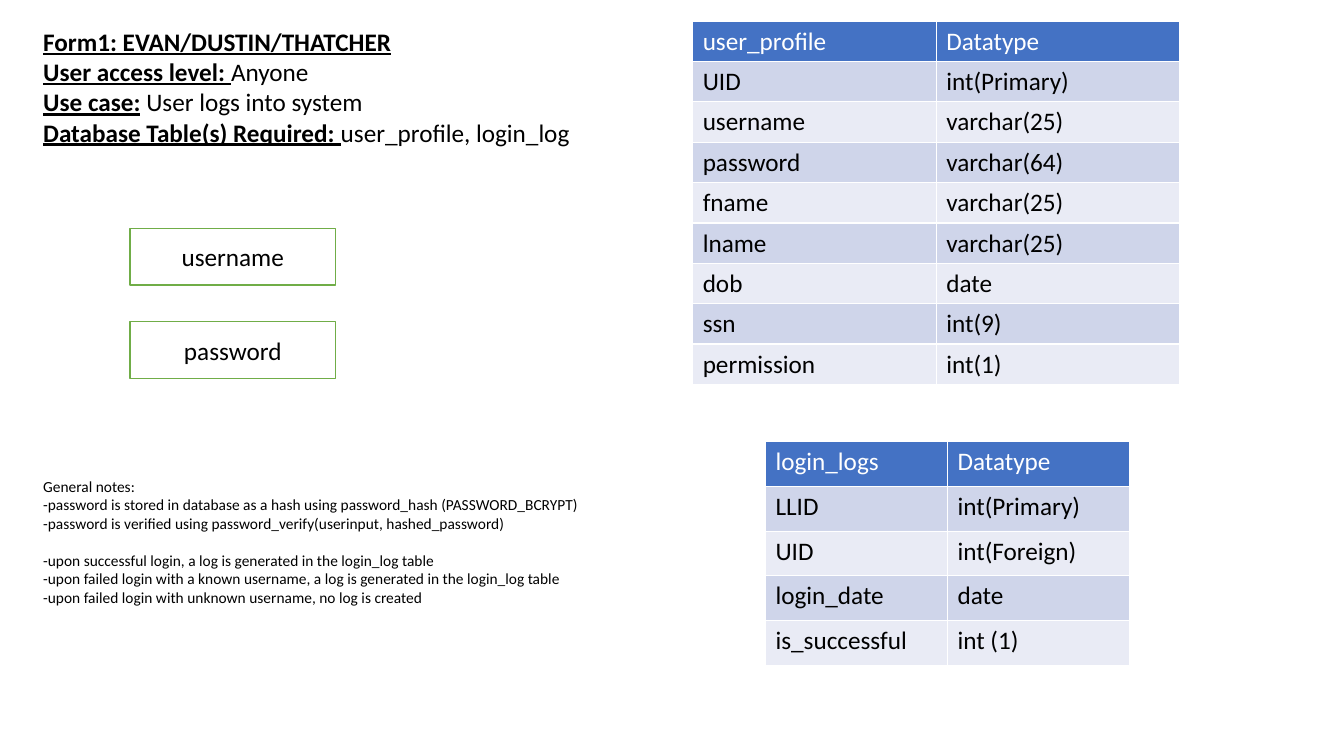
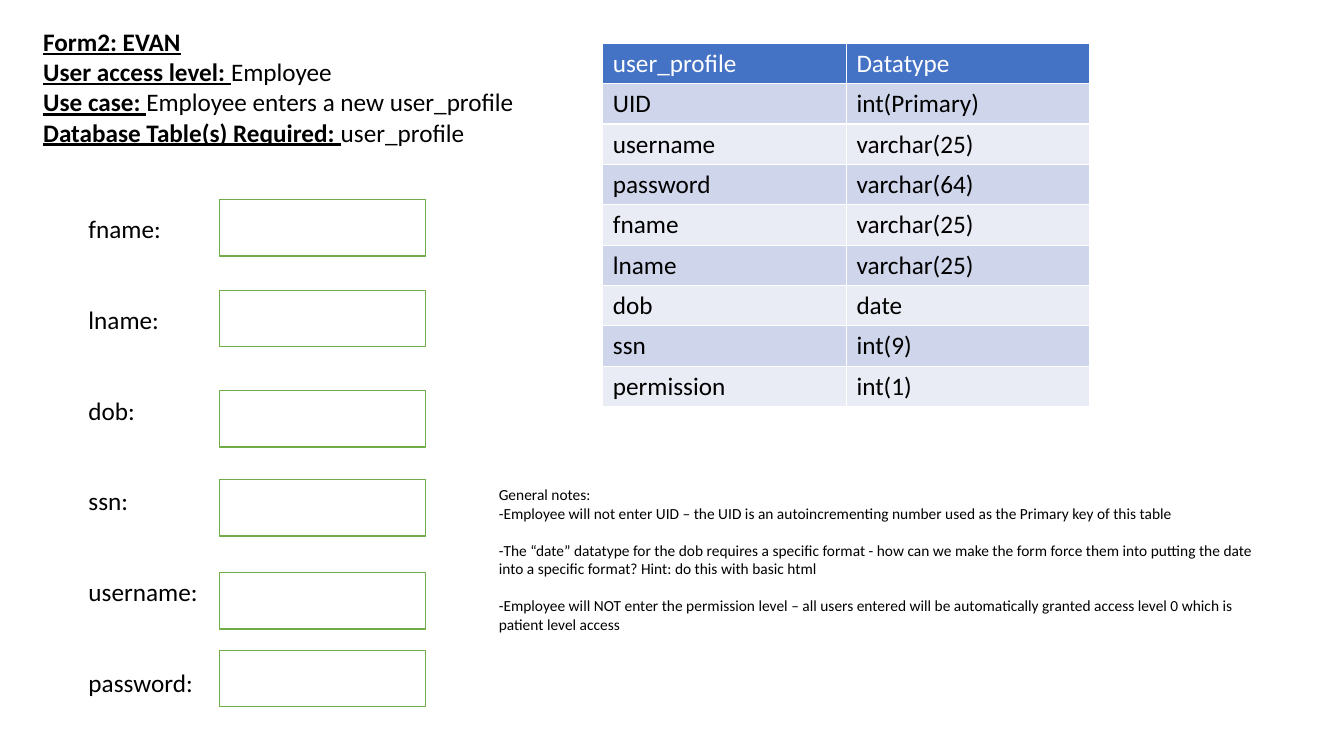
"""Build two form specification slides with their fields, tables and notes."""
from dataclasses import dataclass

import pptx
import pptx.dml.color
import pptx.enum.shapes
import pptx.enum.text
import pptx.util

Pt = pptx.util.Pt


@dataclass(frozen=True)
class Theme:
    """Colours, font and type sizes shared by both slides."""
    font: str = "Calibri"
    ink: str = "000000"
    paper: str = "FFFFFF"
    field_line: str = "70AD47"
    table_head: str = "4472C4"
    bands: tuple = ("CFD5EA", "E9EBF5")
    body: int = 18
    small: int = 11
    line_spacing: float = 1.2


THEME = Theme()
SPEC_BOX = (23.76, 15.12, 704.16, 94.32)
FIELD_SIZE = (147, 40.3)
PROFILE_SIZE = (348, 259.2)
USER_PROFILE = [
    ("user_profile", "Datatype"), ("UID", "int(Primary)"), ("username", "varchar(25)"),
    ("password", "varchar(64)"), ("fname", "varchar(25)"), ("lname", "varchar(25)"),
    ("dob", "date"), ("ssn", "int(9)"), ("permission", "int(1)"),
]
LOGIN_LOGS = [
    ("login_logs", "Datatype"), ("LLID", "int(Primary)"), ("UID", "int(Foreign)"),
    ("login_date", "date"), ("is_successful", "int (1)"),
]


def rgb(code):
    """Turn a hex code into a colour."""
    return pptx.dml.color.RGBColor.from_string(code)


def style_run(run, size=THEME.body, color=THEME.ink, heading=False):
    """Apply the theme font, and bold underline for a heading."""
    run.font.name = THEME.font
    run.font.size = Pt(size)
    run.font.color.rgb = rgb(color)
    run.font.bold = heading
    run.font.underline = heading


def add_text(slide, box):
    """Add a wrapping text box that grows with its text."""
    frame = slide.shapes.add_textbox(*map(Pt, box)).text_frame
    frame.word_wrap = True
    frame.auto_size = pptx.enum.text.MSO_AUTO_SIZE.SHAPE_TO_FIT_TEXT
    return frame


def add_groups(slide, box, groups, size, gap_lines):
    """Write groups of lines, with a gap of whole lines between groups."""
    frame = add_text(slide, box)
    frame.text = "\n".join(line for group in groups for line in group)
    for paragraph in frame.paragraphs:
        style_run(paragraph.runs[0], size)
    last = -1
    for group in groups[:-1]:
        last += len(group)
        frame.paragraphs[last].space_after = Pt(gap_lines * size * THEME.line_spacing)


def add_spec(slide, box, entries):
    """Write the form's name and its labelled properties."""
    frame = add_text(slide, box)
    for index, (label, value) in enumerate(entries):
        paragraph = frame.add_paragraph() if index else frame.paragraphs[0]
        paragraph.text = label
        style_run(paragraph.runs[0], heading=True)
        if value:
            answer = paragraph.add_run()
            answer.text = value
            style_run(answer)


def add_fields(slide, left, fields):
    """Stack outlined input fields, each given as its top and caption."""
    for top, caption in fields:
        field = slide.shapes.add_shape(
            pptx.enum.shapes.MSO_SHAPE.RECTANGLE, Pt(left), Pt(top), *map(Pt, FIELD_SIZE))
        field.shadow.inherit = False
        field.fill.solid()
        field.fill.fore_color.rgb = rgb(THEME.paper)
        field.line.color.rgb = rgb(THEME.field_line)
        field.line.width = Pt(1)
        if caption:
            frame = field.text_frame
            frame.text = caption
            frame.vertical_anchor = pptx.enum.text.MSO_ANCHOR.MIDDLE
            frame.paragraphs[0].alignment = pptx.enum.text.PP_ALIGN.CENTER
            style_run(frame.paragraphs[0].runs[0])


def add_schema(slide, box, rows):
    """Draw a database table with equal rows and banded fills."""
    schema = slide.shapes.add_table(len(rows), len(rows[0]), *map(Pt, box)).table
    for row in schema.rows:
        row.height = Pt(box[3] / len(rows))
    for r, values in enumerate(rows):
        fill = THEME.bands[(r - 1) % 2] if r else THEME.table_head
        color = THEME.ink if r else THEME.paper
        for c, value in enumerate(values):
            cell = schema.cell(r, c)
            cell.text = value
            cell.fill.solid()
            cell.fill.fore_color.rgb = rgb(fill)
            style_run(cell.text_frame.paragraphs[0].runs[0], color=color)


def login_slide(slide):
    """Lay out the login form."""
    add_spec(slide, SPEC_BOX, [
        ("Form1: EVAN/DUSTIN/THATCHER", ""),
        ("User access level: ", "Anyone"),
        ("Use case:", " User logs into system"),
        ("Database Table(s) Required: ", "user_profile, login_log"),
    ])
    add_schema(slide, (494.8, 15.12, *PROFILE_SIZE), USER_PROFILE)
    add_schema(slide, (546.8, 315.4, 260, 160), LOGIN_LOGS)
    add_fields(slide, 92.8, [(163.2, "username"), (229.9, "password")])
    add_groups(slide, (23.76, 337, 433.4, 100.8), [
        ["General notes:",
         "-password is stored in database as a hash using password_hash (PASSWORD_BCRYPT)",
         "-password is verified using password_verify(userinput, hashed_password)"],
        ["-upon successful login, a log is generated in the login_log table",
         "-upon failed login with a known username, a log is generated in the login_log table",
         "-upon failed login with unknown username, no log is created"],
    ], THEME.small, 1)


def new_profile_slide(slide):
    """Lay out the form that enters a new user profile."""
    add_spec(slide, SPEC_BOX, [
        ("Form2: EVAN", ""),
        ("User access level: ", "Employee"),
        ("Use case: ", "Employee enters a new user_profile"),
        ("Database Table(s) Required: ", "user_profile"),
    ])
    labels = ["fname: ", "lname: ", "dob:", "ssn:", "username:", "password: "]
    add_groups(slide, (56.16, 149, 146.9, 356.4), [[label] for label in labels],
               THEME.body, 2)
    field_tops = (142.6, 207.4, 279.1, 342.5, 409, 464.6)
    add_fields(slide, 156.8, [(top, "") for top in field_tops])
    add_schema(slide, (430.6, 30.96, *PROFILE_SIZE), USER_PROFILE)
    add_groups(slide, (349.2, 343, 565.2, 113.8), [
        ["General notes: ",
         "-Employee will not enter UID – the UID is an autoincrementing number used as the "
         "Primary key of this table"],
        ["-The “date” datatype for the dob requires a specific format - how can we make the "
         "form force them into putting the date into a specific format? Hint: do this with "
         "basic html"],
        ["-Employee will NOT enter the permission level – all users entered will be "
         "automatically granted access level 0 which is patient level access"],
    ], THEME.small, 1)


def main():
    """Build and save the presentation."""
    deck = pptx.Presentation()
    deck.slide_width, deck.slide_height = Pt(960), Pt(540)
    for build in (login_slide, new_profile_slide):
        build(deck.slides.add_slide(deck.slide_layouts[6]))
    deck.save("out.pptx")


main()
